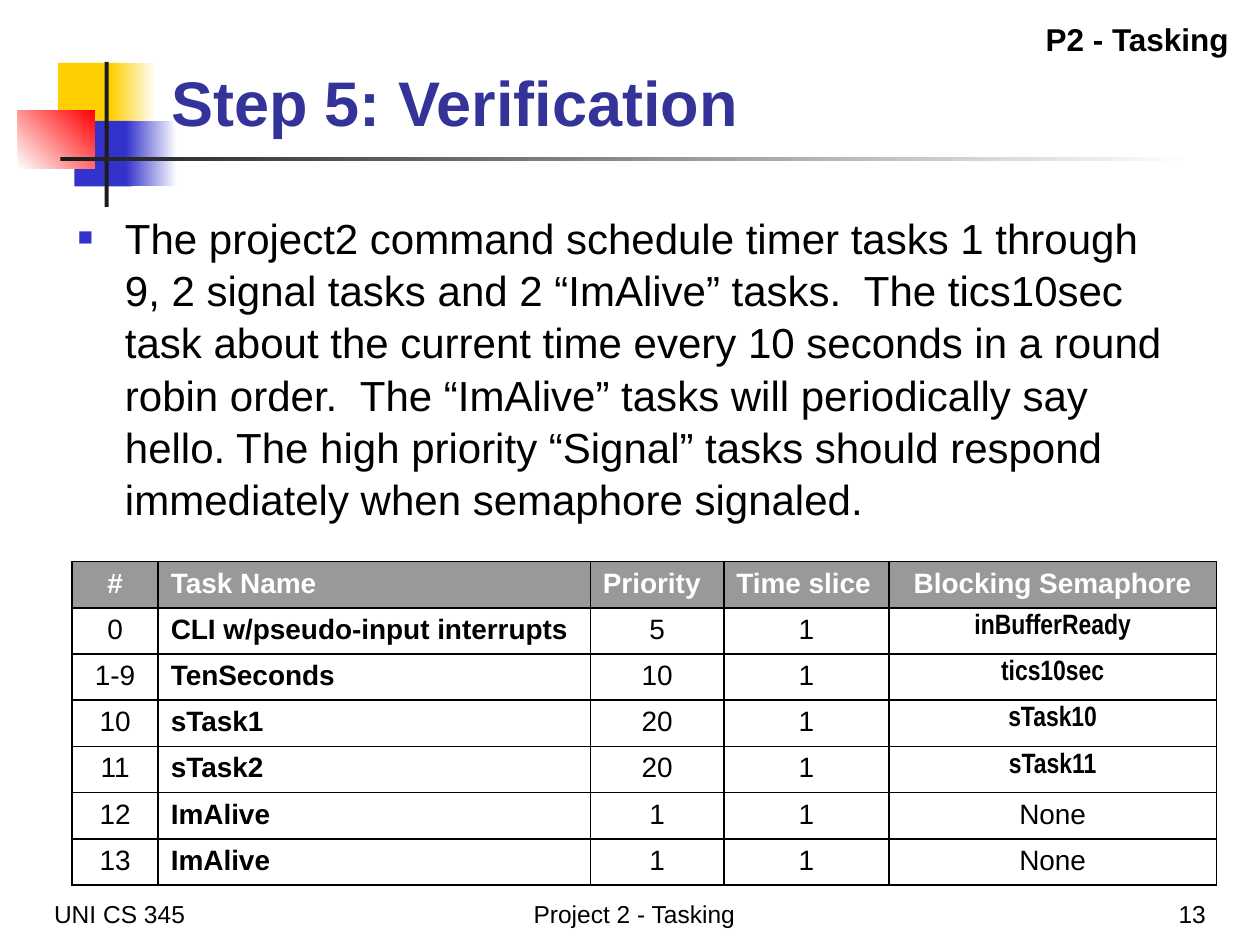
"""Build the Step 5: Verification slide with its task table."""
from lxml import etree
from pptx import Presentation
from pptx.dml.color import RGBColor
from pptx.enum.shapes import MSO_SHAPE
from pptx.enum.text import MSO_ANCHOR, PP_ALIGN
from pptx.oxml.ns import qn
from pptx.util import Cm, Pt

RECT = MSO_SHAPE.RECTANGLE
TOP, BOTTOM = MSO_ANCHOR.TOP, MSO_ANCHOR.BOTTOM
LEFT, CENTER, RIGHT = PP_ALIGN.LEFT, PP_ALIGN.CENTER, PP_ALIGN.RIGHT
BLACK, WHITE, GRAY = "000000", "FFFFFF", "999999"
YELLOW, BLUE, RED, DARK, NAVY = "FFCF01", "3333CC", "FF0000", "1C1C1C", "333399"
HANG = 0.95

DECORATION = [
    ((1.17, 1.27, 1.22, 1.32), [YELLOW], 0),
    ((2.24, 1.27, 0.91, 1.32), [YELLOW, WHITE], 0),
    ((1.5, 2.44, 1.17, 1.32), [BLUE], 0),
    ((2.54, 2.44, 1.02, 1.32), [BLUE, WHITE], 0),
    ((0.36, 2.22, 1.55, 1.18), [WHITE, RED], 45),
    ((2.11, 1.25, 0.08, 2.92), [DARK], 0),
    ((1.22, 3.16, 22.86, 0.08), [DARK, WHITE], 0),
]

BODY = (
    "The project2 command schedule timer tasks 1 through 9, 2 signal tasks and "
    "2 “ImAlive” tasks.  The tics10sec task about the current time every 10 "
    "seconds in a round robin order.  The “ImAlive” tasks will periodically say "
    "hello. The high priority “Signal” tasks should respond immediately when "
    "semaphore signaled."
)

FOOTER = {"size": 14}
TEXTS = [
    ("Step 5: Verification", (3.2, 0.53, 21.97, 2.41), BOTTOM, LEFT,
     {"size": 36, "bold": True, "color": NAVY}),
    ("UNI CS 345", (0.84, 17.58, 5.28, 1.27), BOTTOM, LEFT, FOOTER),
    ("Project 2 - Tasking", (5.97, 17.58, 13.64, 1.27), BOTTOM, CENTER, FOOTER),
    ("13", (19.28, 17.58, 5.28, 1.27), BOTTOM, RIGHT, FOOTER),
    ("P2 - Tasking", (15.19, 0.28, 9.83, 1.02), TOP, RIGHT,
     {"size": 18, "bold": True}),
]
BODY_BOX = (1.32, 4.11, 22.38, 7.06)

HEADERS = ["#", "Task Name", "Priority", "Time slice", "Blocking Semaphore"]
TASKS = [
    ("0", "CLI w/pseudo-input interrupts", "5", "1", "inBufferReady"),
    ("1-9", "TenSeconds", "10", "1", "tics10sec"),
    ("10", "sTask1", "20", "1", "sTask10"),
    ("11", "sTask2", "20", "1", "sTask11"),
    ("12", "ImAlive", "1", "1", "None"),
    ("13", "ImAlive", "1", "1", "None"),
]
TABLE_AT = (1.45, 11.32)
COLS = [1.74, 8.71, 2.69, 3.33, 6.6]
ROW_H = 0.88
NAME_COL, SEMAPHORE_COL = 1, 4


def rgb(color):
    return RGBColor.from_string(color)


def write(tf, text, align=LEFT, **fmt):
    p = tf.paragraphs[0]
    p.alignment = align
    r = p.add_run()
    r.text = text
    style = {"name": "Arial", "size": 16, "bold": False, "color": BLACK} | fmt
    r.font.color.rgb = rgb(style.pop("color"))
    style["size"] = Pt(style["size"])
    for key, value in style.items():
        setattr(r.font, key, value)
    return p


def add_text(s, text, box, anchor, align, fmt):
    tf = s.shapes.add_textbox(*map(Cm, box)).text_frame
    tf.word_wrap = True
    tf.vertical_anchor = anchor
    return write(tf, text, align, **fmt)


def hang(p):
    pPr = p._p.get_or_add_pPr()
    pPr.set("marL", str(Cm(HANG)))
    pPr.set("indent", str(-Cm(HANG)))
    return pPr


def add_bullet(p):
    pPr = hang(p)
    clr = etree.SubElement(pPr, qn("a:buClr"))
    etree.SubElement(clr, qn("a:srgbClr"), val=BLUE)
    etree.SubElement(pPr, qn("a:buSzPct"), val="60000")
    etree.SubElement(pPr, qn("a:buFont"), typeface="Arial")
    etree.SubElement(pPr, qn("a:buChar"), char="■")


def add_block(s, box, colors, angle):
    sp = s.shapes.add_shape(RECT, *map(Cm, box))
    sp.shadow.inherit = False
    sp.line.fill.background()
    if len(colors) == 1:
        sp.fill.solid()
        sp.fill.fore_color.rgb = rgb(colors[0])
        return
    sp.fill.gradient()
    sp.fill.gradient_angle = angle
    for stop, color in zip(sp.fill.gradient_stops, colors):
        stop.color.rgb = rgb(color)


def add_borders(cell):
    tcPr = cell._tc.get_or_add_tcPr()
    for i, side in enumerate(("lnL", "lnR", "lnT", "lnB")):
        ln = etree.Element(qn("a:" + side), w=str(Pt(1)))
        fill = etree.SubElement(ln, qn("a:solidFill"))
        etree.SubElement(fill, qn("a:srgbClr"), val=BLACK)
        tcPr.insert(i, ln)


def cell_format(row, col, text):
    if row == 0:
        align = CENTER if col in (0, SEMAPHORE_COL) else LEFT
        return {"align": align, "bold": True, "color": WHITE}
    if col == NAME_COL:
        return {"bold": True}
    if col == SEMAPHORE_COL and text != "None":
        return {"align": CENTER, "bold": True, "name": "Arial Narrow"}
    return {"align": CENTER}


def add_task_table(s):
    rows = [HEADERS, *TASKS]
    size = (sum(COLS), ROW_H * len(rows))
    table = s.shapes.add_table(len(rows), len(COLS), *map(Cm, TABLE_AT + size)).table
    for column, width in zip(table.columns, COLS):
        column.width = Cm(width)
    for i, row in enumerate(rows):
        table.rows[i].height = Cm(ROW_H)
        for j, text in enumerate(row):
            cell = table.cell(i, j)
            cell.fill.solid()
            cell.fill.fore_color.rgb = rgb(WHITE if i else GRAY)
            hang(write(cell.text_frame, text, **cell_format(i, j, text)))
            add_borders(cell)


def main():
    prs = Presentation()
    prs.slide_width, prs.slide_height = Cm(25.4), Cm(19.05)
    s = prs.slides.add_slide(prs.slide_layouts[6])
    for block in DECORATION:
        add_block(s, *block)
    for text in TEXTS:
        add_text(s, *text)
    body = add_text(s, BODY, BODY_BOX, TOP, LEFT, {"size": 24})
    body.line_spacing = 1.04
    add_bullet(body)
    add_task_table(s)
    prs.save("out.pptx")


if __name__ == "__main__":
    main()
